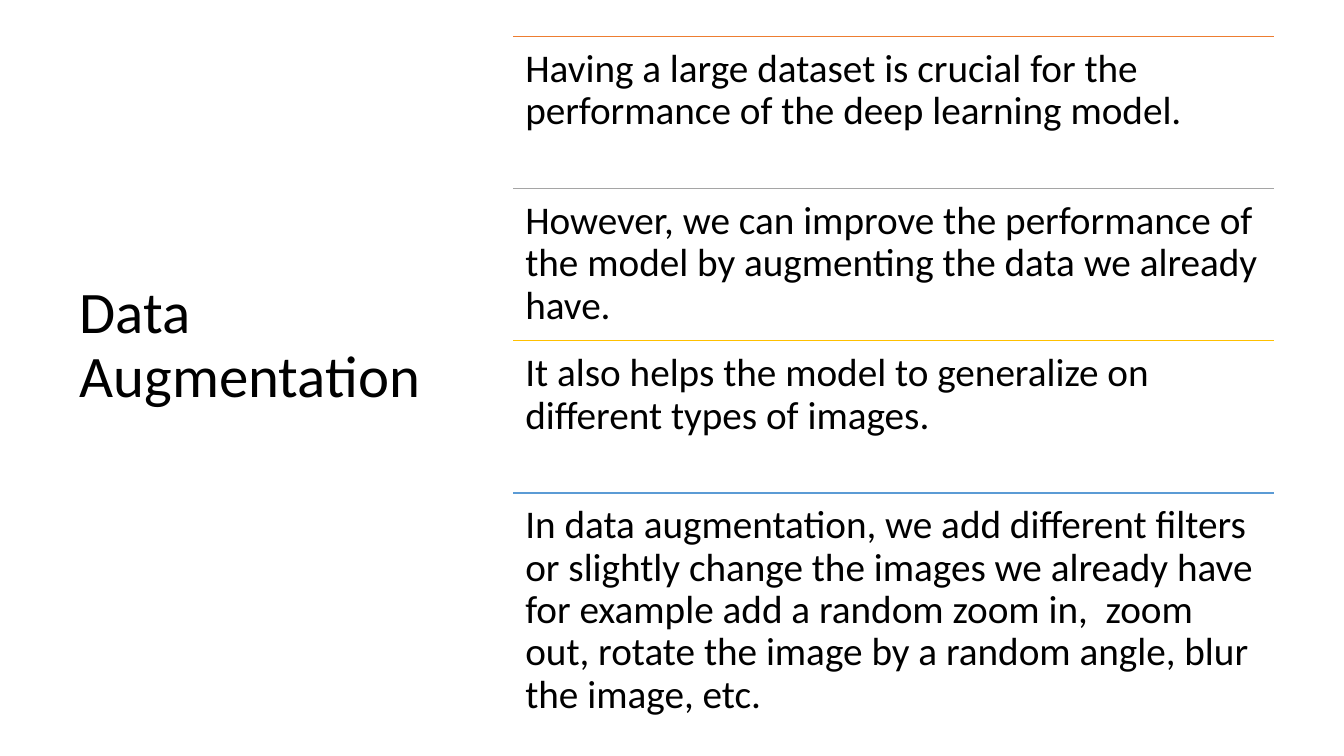
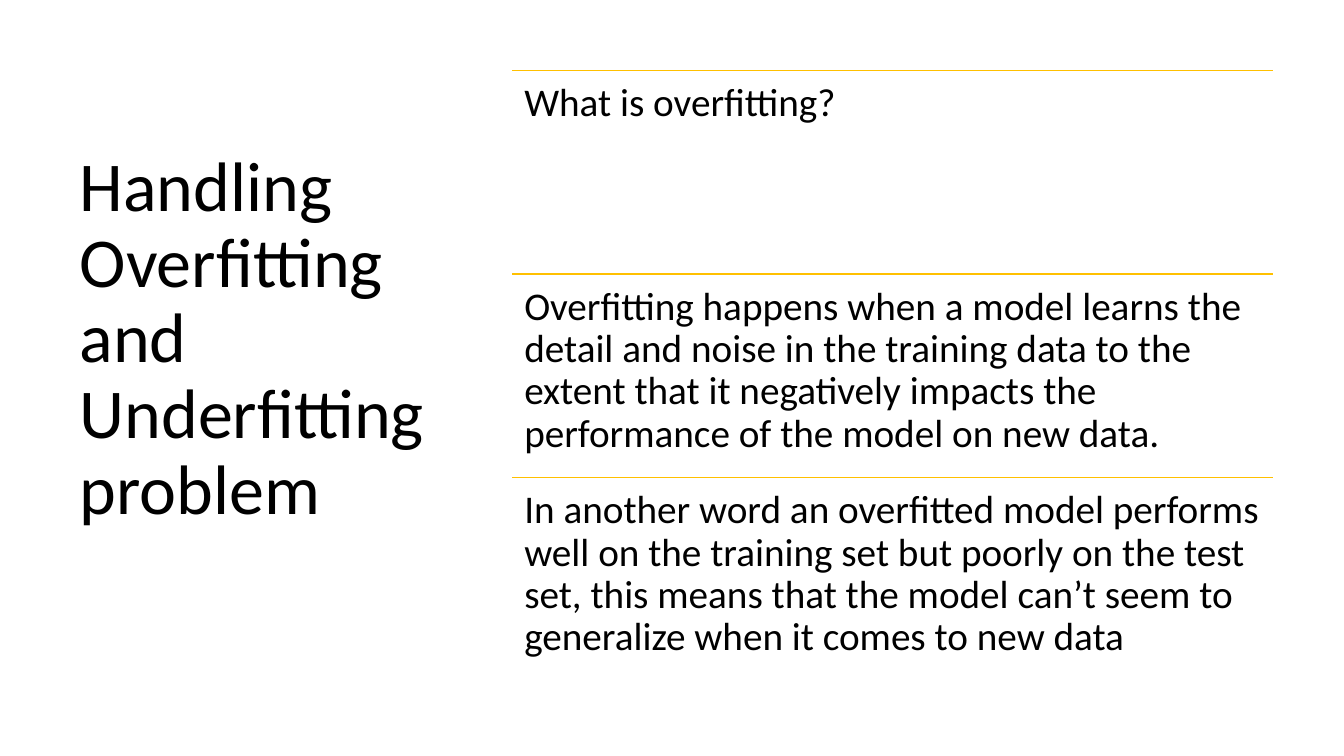
from pptx import Presentation
from pptx.dml.color import RGBColor
from pptx.enum.shapes import MSO_CONNECTOR
from pptx.enum.text import MSO_ANCHOR, MSO_AUTO_SIZE, PP_ALIGN
from pptx.oxml.ns import qn
from pptx.util import Inches, Pt
from lxml.etree import SubElement

BLACK = RGBColor(0x00, 0x00, 0x00)
ORANGE = RGBColor(0xED, 0x7D, 0x31)
GRAY = RGBColor(0xA5, 0xA5, 0xA5)
GOLD = RGBColor(0xFF, 0xC0, 0x00)
BLUE = RGBColor(0x5B, 0x9B, 0xD5)

FONT = "Calibri"
SPACING = 0.9
WIDTH = 7.55


def write(frame, text, size=28, color=BLACK, anchor=MSO_ANCHOR.TOP, inset=0.12):
    """Fill a text frame with one left-aligned paragraph."""
    frame.word_wrap = True
    frame.auto_size = MSO_AUTO_SIZE.NONE
    frame.vertical_anchor = anchor
    frame.margin_left = frame.margin_right = Inches(inset)
    frame.margin_top = frame.margin_bottom = Inches(inset)
    para = frame.paragraphs[0]
    para.text = text
    para.alignment = PP_ALIGN.LEFT
    para.line_spacing = SPACING
    para.font.name = FONT
    para.font.size = Pt(size)
    para.font.color.rgb = color


class Deck:
    def __init__(self):
        self.prs = Presentation()
        self.prs.slide_width = Inches(13.33)
        self.prs.slide_height = Inches(7.5)
        self.slide = None

    def start(self, title, size, height):
        """Add a slide with its title in the left column."""
        self.slide = self.prs.slides.add_slide(self.prs.slide_layouts[5])
        shape = self.slide.shapes.title
        shape.left, shape.top = Inches(0.69), Inches(0.7)
        shape.width, shape.height = Inches(3.74), Inches(height)
        write(shape.text_frame, title, size=size, anchor=MSO_ANCHOR.MIDDLE, inset=0.1)

    def rule(self, left, top, color):
        line = self.slide.shapes.add_connector(
            MSO_CONNECTOR.STRAIGHT, Inches(left), Inches(top),
            Inches(left + WIDTH), Inches(top))
        line.line.color.rgb = color
        line.line.width = Pt(1)
        SubElement(line._element.spPr, qn("a:effectLst"))

    def text(self, left, top, height, words):
        box = self.slide.shapes.add_textbox(
            Inches(left), Inches(top), Inches(WIDTH), Inches(height))
        write(box.text_frame, words)

    def rows(self, left, top, step, items):
        """Stack equal rows, each under a coloured rule."""
        for i, (color, words) in enumerate(items):
            self.rule(left, top + i * step, color)
            self.text(left, top + i * step, step, words)

    def save(self):
        self.prs.save("out.pptx")


def main():
    deck = Deck()

    # Data augmentation
    deck.start("Data Augmentation", size=42, height=5.47)
    deck.rows(5.09, 0.36, 1.51, [
        (ORANGE, "Having a large dataset is crucial for the performance of "
                 "the deep learning model."),
        (GRAY, "However, we can improve the performance of the model by "
               "augmenting the data we already have."),
        (GOLD, "It also helps the model to generalize on different types "
               "of images."),
        (BLUE, "In data augmentation, we add different filters or slightly "
               "change the images we already have for example add a random "
               "zoom in,  zoom out, rotate the image by a random angle, blur "
               "the image, etc."),
    ])

    # Overfitting
    deck.start("Handling Overfitting and Underfitting problem", size=50, height=5.35)
    deck.rows(5.08, 0.7, 2.02, [
        (GOLD, "What is overfitting?"),
        (GOLD, "Overfitting happens when a model learns the detail and noise "
               "in the training data to the extent that it negatively impacts "
               "the performance of the model on new data."),
        (GOLD, "In another word an overfitted model performs well on the "
               "training set but poorly on the test set, this means that the "
               "model can’t seem to generalize when it comes to new data"),
    ])

    deck.save()


if __name__ == "__main__":
    main()
